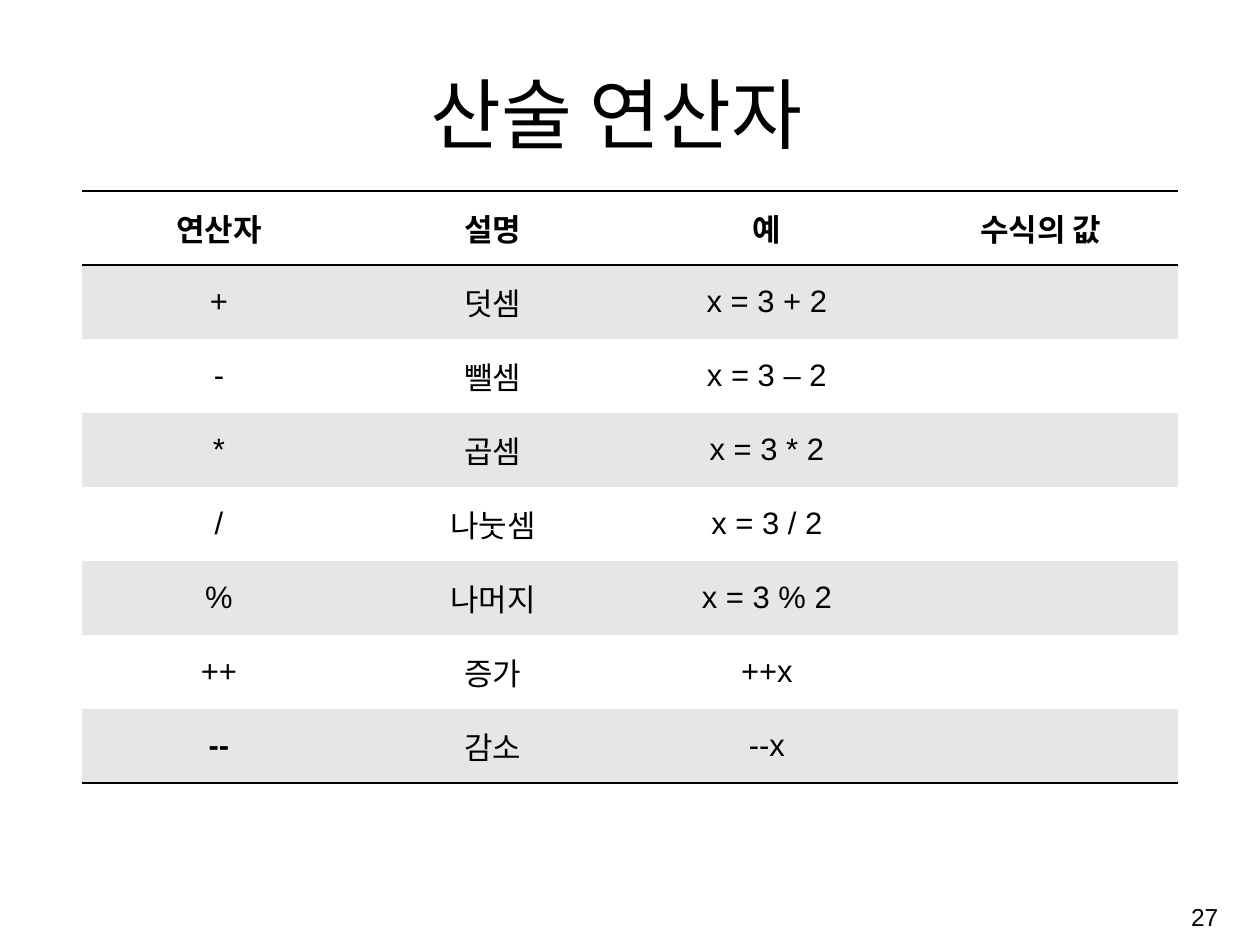
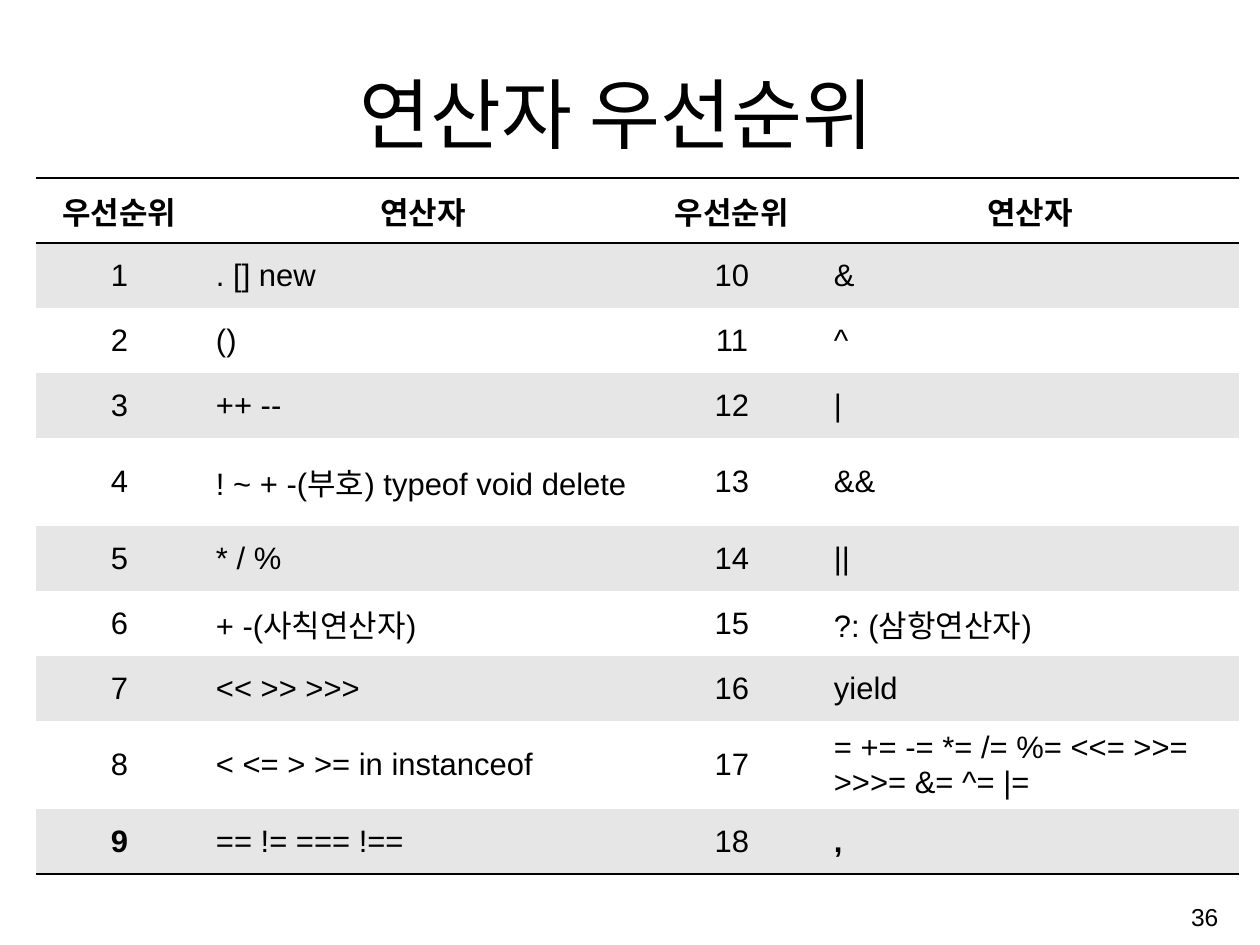
from lxml import etree
from pptx import Presentation
from pptx import util as u
from pptx.dml.color import RGBColor
from pptx.enum import text
from pptx.oxml import ns

PX = 914400 / 97
FONT = "Arial"
BLACK = RGBColor(0x00, 0x00, 0x00)
WHITE = RGBColor(0xFF, 0xFF, 0xFF)
BAND = RGBColor(0xE6, 0xE6, 0xE6)
PLAIN_STYLE = "{2D5ABB26-0587-4C30-8999-92F81FD0307C}"
CENTER, LEFT, RIGHT = (
    text.PP_ALIGN.CENTER, text.PP_ALIGN.LEFT, text.PP_ALIGN.RIGHT)

TITLE = {"size": u.Pt(57.2), "bold": False}
NUMBER = {"size": u.Pt(18.2), "bold": False}
HEADER = {"size": u.Pt(23), "bold": True}
BODY = {"size": u.Pt(23), "bold": False}

ARITHMETIC = [
    ["연산자", "설명", "예", "수식의 값"],
    ["+", "덧셈", "x = 3 + 2", ""],
    ["-", "뺄셈", "x = 3 – 2", ""],
    ["*", "곱셈", "x = 3 * 2", ""],
    ["/", "나눗셈", "x = 3 / 2", ""],
    ["%", "나머지", "x = 3 % 2", ""],
    ["++", "증가", "++x", ""],
    ["--", "감소", "--x", ""],
]
PRECEDENCE = [
    ". [] new", "()", "++ --", "! ~ + -(부호) typeof void delete", "* / %",
    "+ -(사칙연산자)", "<< >> >>>", "< <= > >= in instanceof",
    "== != === !==", "&", "^", "|", "&&", "||", "?: (삼항연산자)", "yield",
    "= += -= *= /= %= <<= >>= >>>= &= ^= |=", ",",
]


def px(value):
    return u.Emu(round(value * PX))


def set_attributes(target, values):
    for name, value in values.items():
        setattr(target, name, value)


def place(shape, left, top, width, height):
    set_attributes(shape, {"left": px(left), "top": px(top),
                           "width": px(width), "height": px(height)})


def write(frame, content, style, alignment):
    paragraph = frame.paragraphs[0]
    paragraph.alignment = alignment
    run = paragraph.add_run()
    run.text = content
    set_attributes(run.font, {"name": FONT, **style})
    run.font.color.rgb = BLACK


def add_border(cell, side):
    properties = cell._tc.get_or_add_tcPr()
    line = etree.SubElement(properties, ns.qn(f"a:{side}"), w=str(u.Pt(2)))
    fill = etree.SubElement(line, ns.qn("a:solidFill"))
    etree.SubElement(fill, ns.qn("a:srgbClr"), val=str(BLACK))


def format_cell(cell, content, style, alignment, fill, sides):
    set_attributes(cell, {
        "vertical_anchor": text.MSO_ANCHOR.MIDDLE,
        "margin_left": px(13), "margin_right": px(13),
        "margin_top": px(6), "margin_bottom": px(6)})
    for side in sides:
        add_border(cell, side)
    cell.fill.solid()
    cell.fill.fore_color.rgb = fill
    if content:
        write(cell.text_frame, content, style, alignment)


def add_table(slide, left, top, widths, heights, rows, alignments, bold_last):
    frame = slide.shapes.add_table(
        len(rows), len(widths), px(left), px(top),
        px(sum(widths)), px(sum(heights)))
    frame.element.find(f".//{ns.qn('a:tableStyleId')}").text = PLAIN_STYLE
    table = frame.table
    for column, width in zip(table.columns, widths):
        column.width = px(width)
    for row, height in zip(table.rows, heights):
        row.height = px(height)
    last = len(rows) - 1
    borders = {0: ["lnT", "lnB"], last: ["lnB"]}
    for i, values in enumerate(rows):
        for j, content in enumerate(values):
            bold = i == 0 or (i == last and j in bold_last)
            format_cell(table.cell(i, j), content,
                        HEADER if bold else BODY,
                        alignments[j] if i else CENTER,
                        BAND if i % 2 else WHITE, borders.get(i, []))


def add_slide(presentation, title, number):
    slide = presentation.slides.add_slide(presentation.slide_layouts[5])
    heading = slide.shapes.title
    place(heading, 102, 59, 1029, 105)
    set_attributes(heading.text_frame, {
        "auto_size": text.MSO_AUTO_SIZE.NONE, "word_wrap": True,
        "vertical_anchor": text.MSO_ANCHOR.BOTTOM})
    write(heading.text_frame, title, TITLE, CENTER)
    box = slide.shapes.add_textbox(px(968), px(888), px(260), px(58))
    set_attributes(box.text_frame, {
        "word_wrap": True, "vertical_anchor": text.MSO_ANCHOR.MIDDLE})
    write(box.text_frame, number, NUMBER, RIGHT)
    return slide


def precedence_rows():
    half = len(PRECEDENCE) // 2
    rows = [["우선순위", "연산자"] * 2]
    for i in range(half):
        rows.append([str(i + 1), PRECEDENCE[i],
                     str(i + 1 + half), PRECEDENCE[i + half]])
    return rows


def main():
    presentation = Presentation()
    set_attributes(presentation, {
        "slide_width": px(1260), "slide_height": px(945)})

    slide = add_slide(presentation, "산술 연산자", "27")
    add_table(slide, 82, 191, [274] * 4, [74] * len(ARITHMETIC), ARITHMETIC,
              [CENTER] * 4, {0})

    slide = add_slide(presentation, "연산자 우선순위", "36")
    rows = precedence_rows()
    heights = [88 if i in (4, 8) else 65 for i in range(len(rows))]
    add_table(slide, 36, 178, [167, 440, 178, 418], heights, rows,
              [CENTER, LEFT] * 2, {0, 3})

    presentation.save("out.pptx")


if __name__ == "__main__":
    main()
